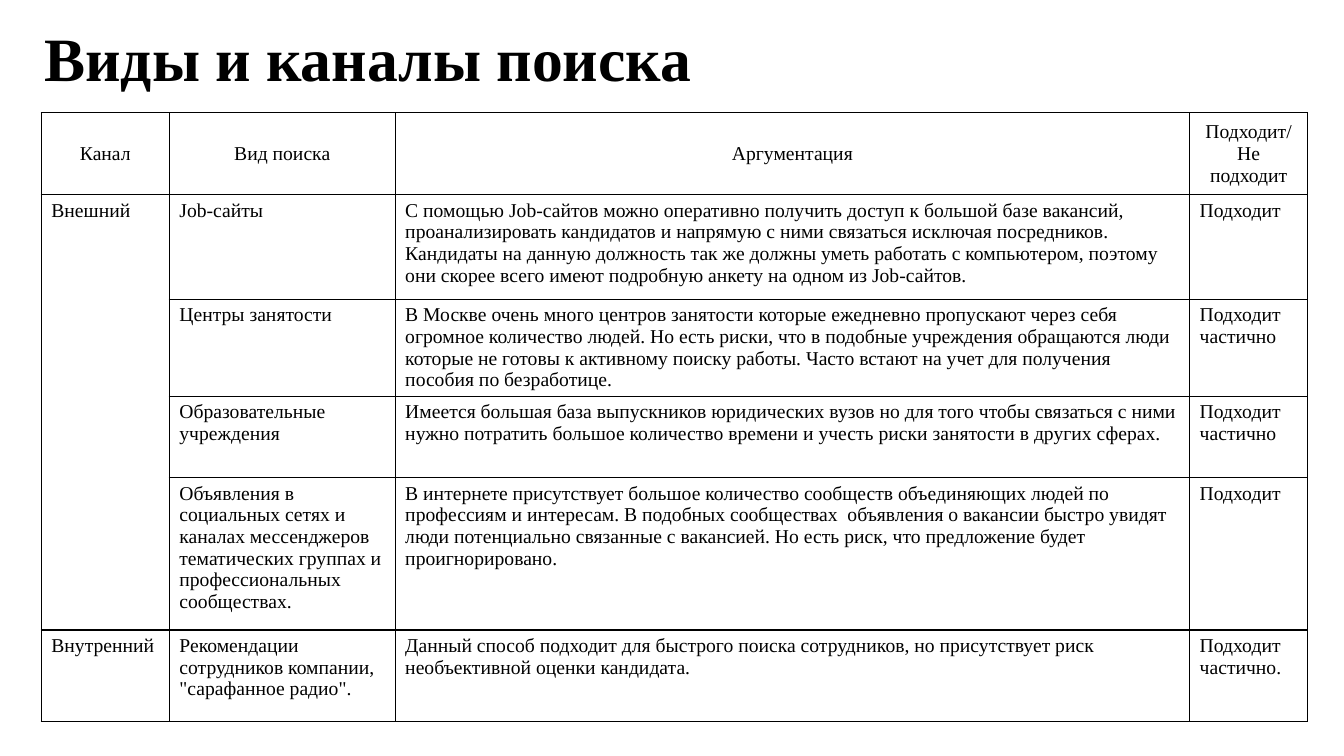
from lxml import etree
from pptx import Presentation
from pptx.dml.color import RGBColor
from pptx.enum.text import MSO_ANCHOR, PP_ALIGN
from pptx.oxml.ns import qn
from pptx.util import Inches, Pt

CENTER, LEFT = PP_ALIGN.CENTER, PP_ALIGN.LEFT
MIDDLE, TOP = MSO_ANCHOR.MIDDLE, MSO_ANCHOR.TOP
TITLE_ONLY = 5
FONT = "Times New Roman"
BLACK, WHITE = "000000", "FFFFFF"

COLUMN_WIDTHS = [1.27, 2.24, 7.88, 1.17]
ROW_HEIGHTS = [0.81, 1.04, 0.95, 0.81, 1.51, 0.91]
EXTERNAL_ROWS = (1, 4)
CHANNELS = [
    ["Канал", "Вид поиска", "Аргументация", "Подходит/Не подходит"],
    ["Внешний", "Job-сайты",
     "С помощью Job-сайтов можно оперативно получить доступ к большой базе вакансий, "
     "проанализировать кандидатов и напрямую с ними связаться исключая посредников. "
     "Кандидаты на данную должность так же должны уметь работать с компьютером, поэтому "
     "они скорее всего имеют подробную анкету на одном из Job-сайтов.",
     "Подходит"],
    ["", "Центры занятости",
     "В Москве очень много центров занятости которые ежедневно пропускают через себя "
     "огромное количество людей. Но есть риски, что в подобные учреждения обращаются люди "
     "которые не готовы к активному поиску работы. Часто встают на учет для получения "
     "пособия по безработице.",
     "Подходит частично"],
    ["", "Образовательные учреждения",
     "Имеется большая база выпускников юридических вузов но для того чтобы связаться с ними "
     "нужно потратить большое количество времени и учесть риски занятости в других сферах.",
     "Подходит частично"],
    ["",
     "Объявления в социальных сетях и каналах мессенджеров "
     "тематических группах и профессиональных   сообществах.",
     "В интернете присутствует большое количество сообществ объединяющих людей по "
     "профессиям и интересам. В подобных сообществах  объявления о вакансии быстро увидят "
     "люди потенциально связанные с вакансией. Но есть риск, что предложение будет "
     "проигнорировано.",
     "Подходит"],
    ["Внутренний", "Рекомендации сотрудников компании, \"сарафанное радио\".",
     "Данный способ подходит для быстрого поиска сотрудников, но присутствует риск "
     "необъективной оценки кандидата.",
     "Подходит частично."],
]


def rgb(value):
    return RGBColor.from_string(value)


def format_paragraph(paragraph, size, align, bold=False):
    paragraph.alignment = align
    font = paragraph.font
    font.name, font.size, font.bold = FONT, Pt(size), bold
    font.color.rgb = rgb(BLACK)


def set_borders(cell, color, width):
    properties = cell._tc.get_or_add_tcPr()
    for side in ("a:lnL", "a:lnR", "a:lnT", "a:lnB"):
        line = etree.SubElement(properties, qn(side), w=str(Pt(width)))
        fill = etree.SubElement(line, qn("a:solidFill"))
        etree.SubElement(fill, qn("a:srgbClr"), val=color)


def fill_cell(cell, text, is_header):
    set_borders(cell, BLACK, 1)
    cell.fill.solid()
    cell.fill.fore_color.rgb = rgb(WHITE)
    cell.vertical_anchor = MIDDLE if is_header else TOP
    cell.text = text
    format_paragraph(cell.text_frame.paragraphs[0], 14, CENTER if is_header else LEFT)


def add_title(slide, text):
    title = slide.shapes.title
    title.left, title.top = Inches(0.34), Inches(-0.11)
    title.width, title.height = Inches(11.5), Inches(1.45)
    frame = title.text_frame
    frame.text = text
    frame.word_wrap = True
    frame.vertical_anchor = MIDDLE
    heading = frame.paragraphs[0]
    heading.line_spacing = 0.9
    format_paragraph(heading, 44, LEFT, bold=True)


def add_channel_table(slide):
    table = slide.shapes.add_table(
        len(ROW_HEIGHTS), len(COLUMN_WIDTHS), Inches(0.41), Inches(1.12),
        Inches(sum(COLUMN_WIDTHS)), Inches(sum(ROW_HEIGHTS))).table
    table.first_row = table.horz_banding = False
    for column, width in zip(table.columns, COLUMN_WIDTHS):
        column.width = Inches(width)
    for row, height in zip(table.rows, ROW_HEIGHTS):
        row.height = Inches(height)
    for row_index, texts in enumerate(CHANNELS):
        for column_index, text in enumerate(texts):
            fill_cell(table.cell(row_index, column_index), text, row_index == 0)
    first, last = EXTERNAL_ROWS
    table.cell(first, 0).merge(table.cell(last, 0))


def main():
    presentation = Presentation()
    presentation.slide_width, presentation.slide_height = Inches(13.33), Inches(7.5)
    slide = presentation.slides.add_slide(presentation.slide_layouts[TITLE_ONLY])
    add_channel_table(slide)
    add_title(slide, "Виды и каналы поиска")
    presentation.save("out.pptx")


if __name__ == "__main__":
    main()
